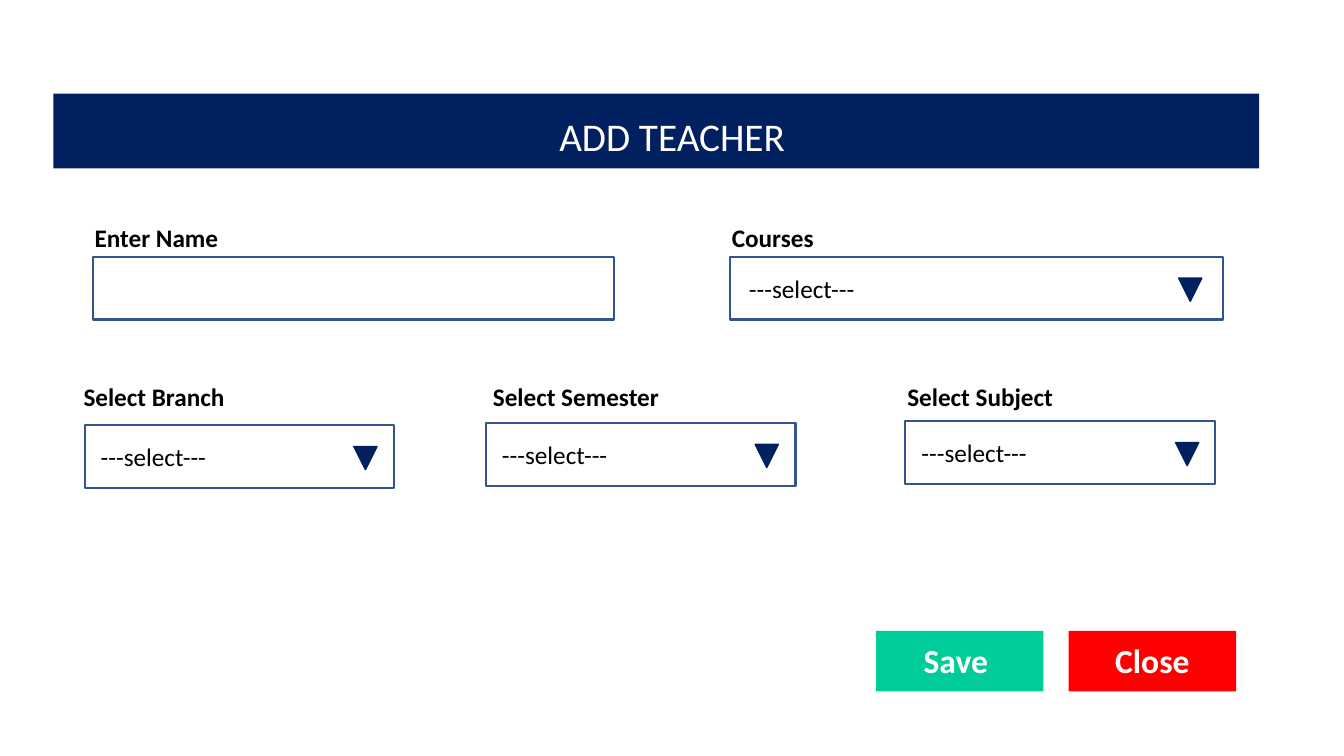
import pptx
import pptx.util
import pptx.dml.color
import pptx.enum.shapes
import pptx.enum.text

PX = 9144
NAVY, WHITE, BLACK, EDGE = "002060", "FFFFFF", "000000", "325491"
GREEN, RED = "00CC99", "FF0000"
SHAPE = pptx.enum.shapes.MSO_SHAPE
ALIGN = pptx.enum.text.PP_ALIGN
ANCHOR = pptx.enum.text.MSO_ANCHOR
FIT = pptx.enum.text.MSO_AUTO_SIZE


def color(code):
    return pptx.dml.color.RGBColor.from_string(code)


def scale(*sizes):
    return [size * PX for size in sizes]


def write(frame, text, size=18, bold=False, ink=BLACK, align=ALIGN.LEFT,
          anchor=ANCHOR.MIDDLE, font="Calibri"):
    frame.word_wrap = True
    frame.auto_size = FIT.SHAPE_TO_FIT_TEXT
    frame.vertical_anchor = anchor
    para = frame.paragraphs[0]
    para.alignment = align
    run = para.add_run()
    run.text = text
    run.font.name = font
    run.font.size = pptx.util.Pt(size)
    run.font.bold = bold
    run.font.color.rgb = color(ink)


class Form:
    """Draws the parts of an entry form on one slide."""

    def __init__(self, deck):
        self.slide = deck.slides.add_slide(deck.slide_layouts[5])
        self.shapes = self.slide.shapes

    def shape(self, kind, place, fill, line=None, width=1.5):
        item = self.shapes.add_shape(kind, *scale(*place))
        item.shadow.inherit = False
        item.fill.solid()
        item.fill.fore_color.rgb = color(fill)
        if line:
            item.line.color.rgb = color(line)
            item.line.width = pptx.util.Pt(width)
        else:
            item.line.fill.background()
        return item

    def rect(self, place, fill, line=None):
        return self.shape(SHAPE.RECTANGLE, place, fill, line)

    def text(self, place, words, **style):
        box = self.shapes.add_textbox(*scale(*place))
        write(box.text_frame, words, **style)

    def title(self, place, words, **style):
        head = self.shapes.title
        head.left, head.top, head.width, head.height = scale(*place)
        write(head.text_frame, words, **style)
        self.shapes.element.append(head.element)

    def label(self, left, top, words):
        self.text((left, top, 218, 40), words, bold=True, anchor=ANCHOR.TOP)

    def field(self, left, top, width):
        self.rect((left, top, width, 62), WHITE, EDGE)

    def select(self, left, top, width, inset, arrow):
        self.field(left, top, width)
        self.text((left + inset, top + 11, 165, 40), "---select---")
        mark = self.shape(SHAPE.ISOSCELES_TRIANGLE,
                          (arrow, top + 21, 23, 23), NAVY, NAVY, 1)
        mark.element.spPr.xfrm.set("flipV", "1")

    def button(self, left, inset, words, fill):
        self.rect((left, 626, 166, 60), fill)
        self.text((left + inset, 630, 124, 50), words, size=24, bold=True,
                  ink=WHITE, align=ALIGN.CENTER)


def main():
    deck = pptx.Presentation()
    deck.slide_width, deck.slide_height = scale(1333, 750)
    form = Form(deck)

    form.rect((53, 93, 1195, 601), WHITE)
    form.rect((53, 93, 1196, 74), NAVY)
    form.title((419, 106, 495, 57), "ADD TEACHER", size=28, ink=WHITE,
               align=ALIGN.CENTER)

    form.label(84, 216, "Enter Name")
    form.field(92, 255, 517)
    form.label(716, 216, "Courses")
    form.select(724, 255, 489, 9, 1169)

    for words, start, left, top, arrow in (
            ("Select Branch", 73, 84, 422, 351),
            ("Select Semester", 479, 482, 420, 749),
            ("Select Subject", 890, 898, 418, 1166)):
        form.label(start, 373, words)
        form.select(left, top, 307, 6, arrow)

    form.button(869, 17, "Save", GREEN)
    form.button(1060, 21, "Close", RED)
    deck.save("out.pptx")


if __name__ == "__main__":
    main()
